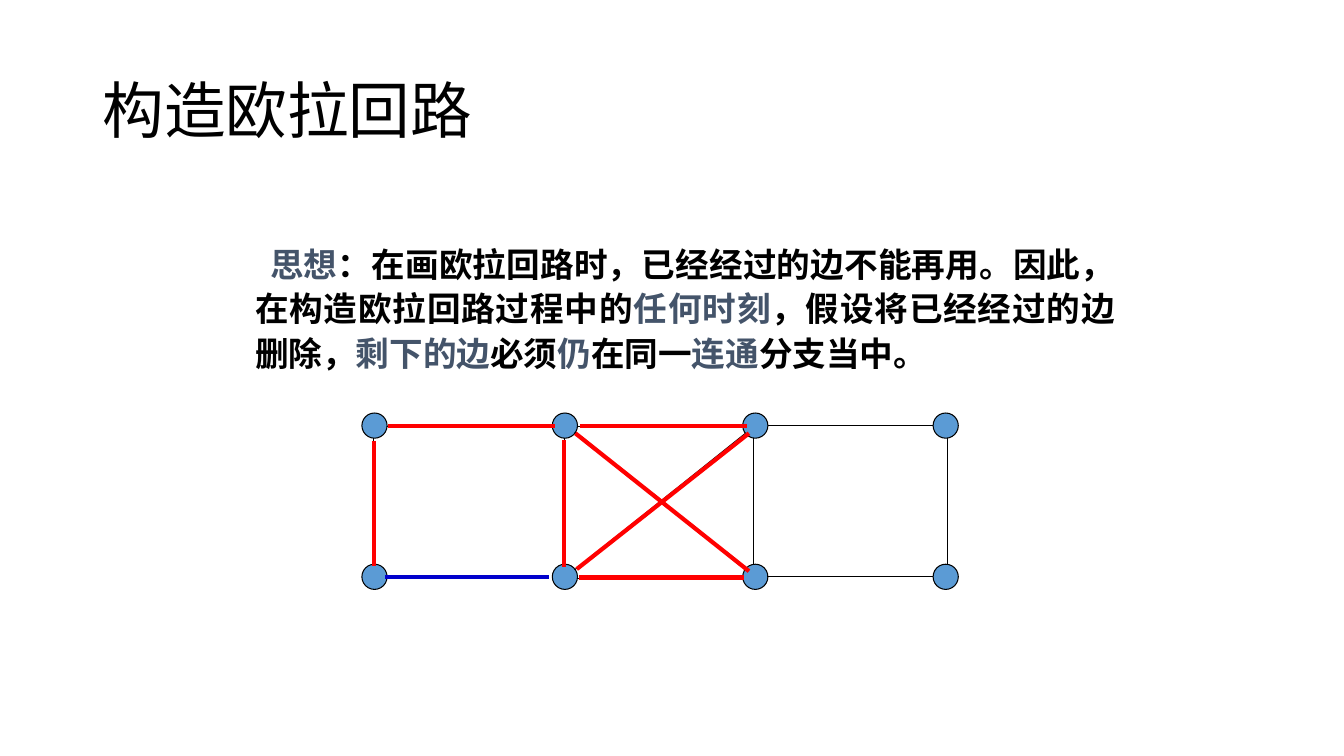
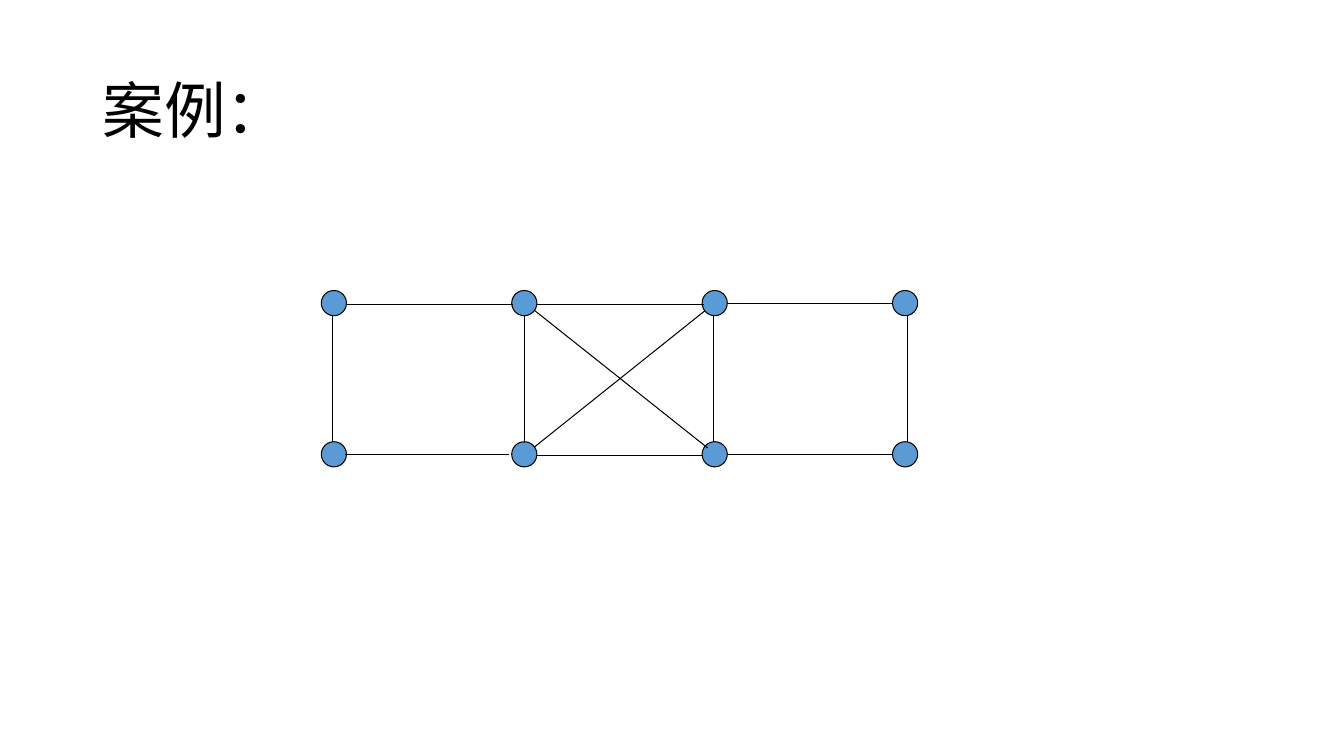
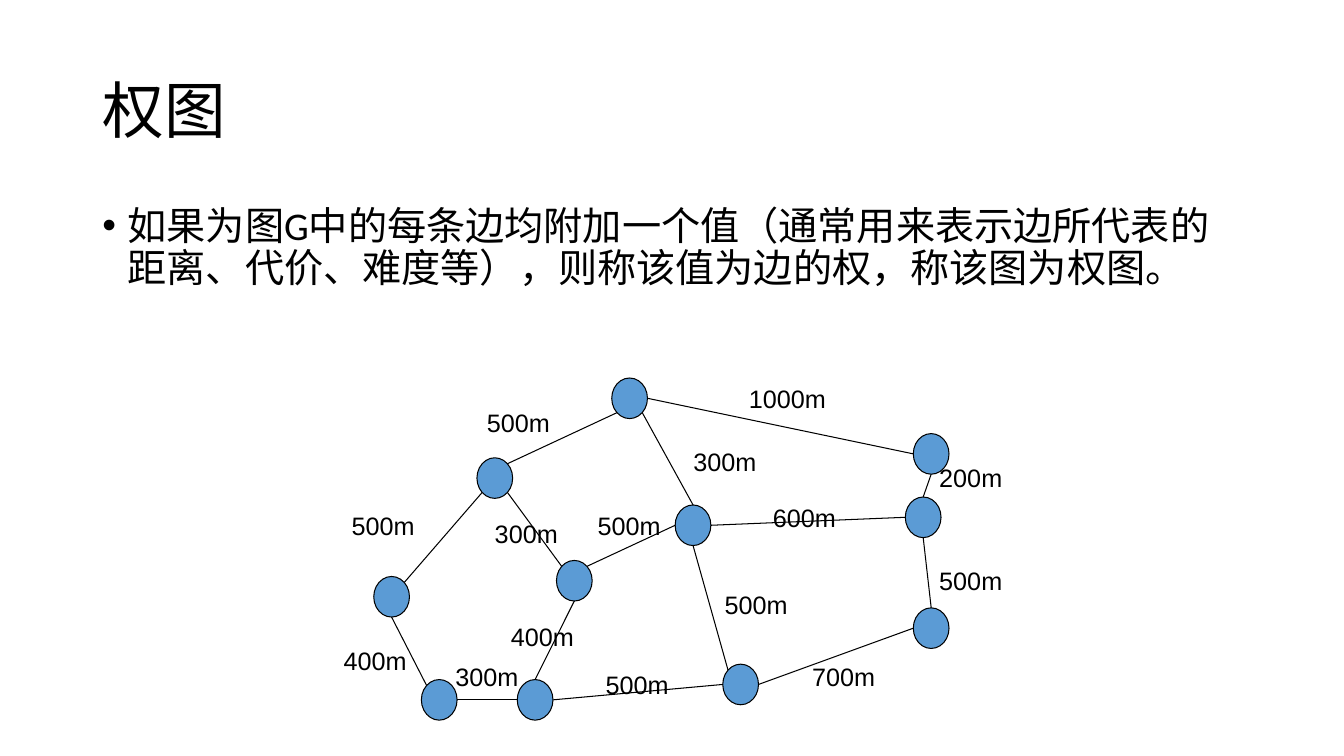
from lxml.etree import SubElement
from pptx import Presentation
from pptx.dml.color import RGBColor
from pptx.enum.shapes import MSO_CONNECTOR as Connector, MSO_SHAPE as Preset
from pptx.enum.text import MSO_ANCHOR as Anchor, MSO_AUTO_SIZE as AutoSize, PP_ALIGN as Align
from pptx.oxml.ns import qn
from pptx.util import Pt

BLACK, SLATE, NODE_BLUE = "000000", "44546A", "5B9BD5"
RED, EDGE_BLUE = "FF0000", "0000CC"
TITLE_ONLY, TITLE_AND_BODY = 5, 1
TITLE_BOX = (66, 28.8, 828, 104.4)

IDEA_BOX = (157, 167.8, 646.5, 107.3)
IDEA_RUNS = [
    ("思想", SLATE),
    ("：在画欧拉回路时，已经经过的边不能再用。因此，在构造欧拉回路过程中的", BLACK),
    ("任何时刻", SLATE),
    ("，假设将已经经过的边删除，", BLACK),
    ("剩下的边", SLATE),
    ("必须", BLACK),
    ("仍", SLATE),
    ("在同一", BLACK),
    ("连通", SLATE),
    ("分支当中。", BLACK),
]
WEIGHT_BOX = (66, 143.8, 828, 342.7)
WEIGHT_RUNS = [("如果为图G中的每条边均附加一个值（通常用来表示边所代表的距离、代价、难度等），则称该值为边的权，称该图为权图。", BLACK)]

LADDER_COLUMNS, LADDER_ROWS = 4, 2
LADDER_PITCH = (136, 108)
LADDER_NODE = (18, 18)
LADDER_EDGES = [
    (8, 18, 8, 108), (18, 10, 137, 10), (145, 18, 145, 109), (17, 117, 134, 117),
    (152, 112, 274, 14.5), (280, 18, 280, 108), (154, 118, 272, 118), (290, 9, 408, 9),
    (418.5, 18, 418.5, 108), (289.5, 117, 408, 117), (152, 14, 276, 112.5), (154, 10, 273.5, 10),
]
VISITED_EDGES = [
    (8.5, 20, 8.5, 109.5), (18.5, 9.5, 138, 9.5), (152.5, 14.5, 276.5, 113),
    (155, 117.5, 273, 117.5), (144.5, 19, 144.5, 110), (156, 9.5, 275, 9.5),
    (153.5, 111.5, 276.5, 14.5),
]
LAST_EDGE = [(16.5, 117, 134, 117)]

WEIGHT_NODE = (25.5, 29)
WEIGHT_NODES = {
    "B": (340.7, 327), "C": (267, 411.8), "D": (301, 485.4), "E": (369.5, 485.4),
    "F": (397.5, 400.3), "A": (437, 270), "G": (652.4, 309.7), "H": (652.4, 434.2),
    "I": (646.7, 355), "J": (482.3, 360.7), "K": (516.3, 474.4),
}
DIAGONAL = 0.3536
SITES = {
    "top": (0, -0.5), "bottom": (0, 0.5), "left": (-0.5, 0), "right": (0.5, 0),
    "top left": (-DIAGONAL, -DIAGONAL), "top right": (DIAGONAL, -DIAGONAL),
    "bottom left": (-DIAGONAL, DIAGONAL), "bottom right": (DIAGONAL, DIAGONAL),
}
WEIGHT_EDGES = [
    ("A", "bottom right", "J", "top"), ("J", "right", "I", "left"),
    ("I", "top", "G", "bottom"), ("G", "left", "A", "right"),
    ("A", "bottom left", "B", "top right"), ("B", "bottom left", "C", "top right"),
    ("C", "bottom", "D", "top left"), ("D", "right", "E", "left"),
    ("E", "top", "F", "bottom"), ("F", "top right", "J", "left"),
    ("J", "bottom", "K", "top left"), ("K", "left", "E", "right"),
    ("K", "right", "H", "left"), ("H", "top", "I", "bottom"),
    ("B", "bottom right", "F", "top left"),
]
WEIGHT_LABELS = [
    ("500m", 340.6, 287.3), ("500m", 244, 361), ("400m", 238.3, 457.2), ("300m", 318.2, 468.7),
    ("300m", 346.3, 366.5), ("400m", 357.8, 440), ("500m", 425.5, 474.5), ("500m", 419.8, 361),
    ("300m", 488.2, 315.4), ("1000m", 527.8, 270), ("600m", 545, 355), ("500m", 510.5, 417.6),
    ("700m", 573, 468.7), ("500m", 663.8, 400.3), ("200m", 663.8, 327),
]
LABEL_HEIGHT = 29


def rgb(color):
    return RGBColor.from_string(color)


def place(shape, box):
    shape.left, shape.top, shape.width, shape.height = map(Pt, box)


def set_font(font, name, size, color=None, bold=False):
    font.name, font.size, font.bold = name, Pt(size), bold
    if color:
        font.color.rgb = rgb(color)


def add_slide(presentation, layout, title):
    slide = presentation.slides.add_slide(presentation.slide_layouts[layout])
    shape = slide.shapes.title
    place(shape, TITLE_BOX)
    frame = shape.text_frame
    frame.text = title
    frame.vertical_anchor = Anchor.MIDDLE
    frame.auto_size = AutoSize.NONE
    paragraph = frame.paragraphs[0]
    paragraph.alignment = Align.LEFT
    paragraph.line_spacing = 0.9
    set_font(paragraph.font, "Calibri", 44, BLACK)
    return slide


def fill_body(slide, box, runs, size, spacing, indent, alignment=Align.LEFT, bold=False, bullet=None):
    shape = slide.placeholders[1]
    place(shape, box)
    frame = shape.text_frame
    frame.auto_size = AutoSize.NONE
    paragraph = frame.paragraphs[0]
    paragraph.alignment = alignment
    paragraph.line_spacing = spacing
    paragraph.space_before = Pt(0)
    properties = paragraph._p.get_or_add_pPr()
    properties.set("marL", str(Pt(18)))
    properties.set("indent", str(Pt(indent)))
    if bullet:
        SubElement(properties, qn("a:buFont")).set("typeface", "Arial")
        SubElement(properties, qn("a:buChar")).set("char", bullet)
    else:
        SubElement(properties, qn("a:buNone"))
    set_font(paragraph.font, "Calibri", size, bold=bold)
    for text, color in runs:
        run = paragraph.add_run()
        run.text = text
        run.font.color.rgb = rgb(color)


def add_node(shapes, left, top, size):
    node = shapes.add_shape(Preset.OVAL, Pt(left), Pt(top), *map(Pt, size))
    node.shadow.inherit = False
    node.fill.solid()
    node.fill.fore_color.rgb = rgb(NODE_BLUE)
    node.line.color.rgb = rgb(BLACK)
    node.line.width = Pt(0.75)


def add_edge(shapes, start, end, color=BLACK, width=0.75):
    edge = shapes.add_connector(Connector.STRAIGHT, *map(Pt, (*start, *end)))
    edge.line.color.rgb = rgb(color)
    edge.line.width = Pt(width)
    SubElement(edge._element.spPr, qn("a:effectLst"))


def add_label(shapes, text, left, top):
    width = 60 if len(text) == 4 else 70
    label = shapes.add_textbox(Pt(left), Pt(top), Pt(width), Pt(LABEL_HEIGHT))
    frame = label.text_frame
    frame.text = text
    frame.word_wrap = False
    frame.auto_size = AutoSize.SHAPE_TO_FIT_TEXT
    set_font(frame.paragraphs[0].font, "Arial", 18, BLACK)


def add_ladder_edges(shapes, left, top, edges, color=BLACK, width=0.75):
    for x1, y1, x2, y2 in edges:
        add_edge(shapes, (left + x1, top + y1), (left + x2, top + y2), color, width)


def add_ladder(shapes, left, top):
    for row in range(LADDER_ROWS):
        for column in range(LADDER_COLUMNS):
            add_node(shapes, left + column * LADDER_PITCH[0], top + row * LADDER_PITCH[1], LADDER_NODE)
    add_ladder_edges(shapes, left, top, LADDER_EDGES)


def site_point(node, site):
    return [corner + size * (0.5 + offset)
            for corner, size, offset in zip(WEIGHT_NODES[node], WEIGHT_NODE, SITES[site])]


def add_weighted_graph(slide):
    shapes = slide.shapes.add_group_shape().shapes
    for label in WEIGHT_LABELS:
        add_label(shapes, *label)
    for left, top in WEIGHT_NODES.values():
        add_node(shapes, left, top, WEIGHT_NODE)
    for start, start_site, end, end_site in WEIGHT_EDGES:
        add_edge(shapes, site_point(start, start_site), site_point(end, end_site))


def main():
    presentation = Presentation()
    presentation.slide_width, presentation.slide_height = Pt(960), Pt(540)

    slide = add_slide(presentation, TITLE_AND_BODY, "构造欧拉回路")
    fill_body(slide, IDEA_BOX, IDEA_RUNS, 24, 1.1, 10.8, Align.JUSTIFY, bold=True)
    origin = (258.5, 295)
    add_ladder(slide.shapes, *origin)
    add_ladder_edges(slide.shapes, *origin, VISITED_EDGES, RED, 3)
    add_ladder_edges(slide.shapes, *origin, LAST_EDGE, EDGE_BLUE, 3)

    slide = add_slide(presentation, TITLE_ONLY, "案例：")
    add_ladder(slide.shapes, 229.5, 207.5)

    slide = add_slide(presentation, TITLE_AND_BODY, "权图")
    fill_body(slide, WEIGHT_BOX, WEIGHT_RUNS, 28, 0.9, -18, bullet="•")
    add_weighted_graph(slide)

    presentation.save("out.pptx")


if __name__ == "__main__":
    main()
